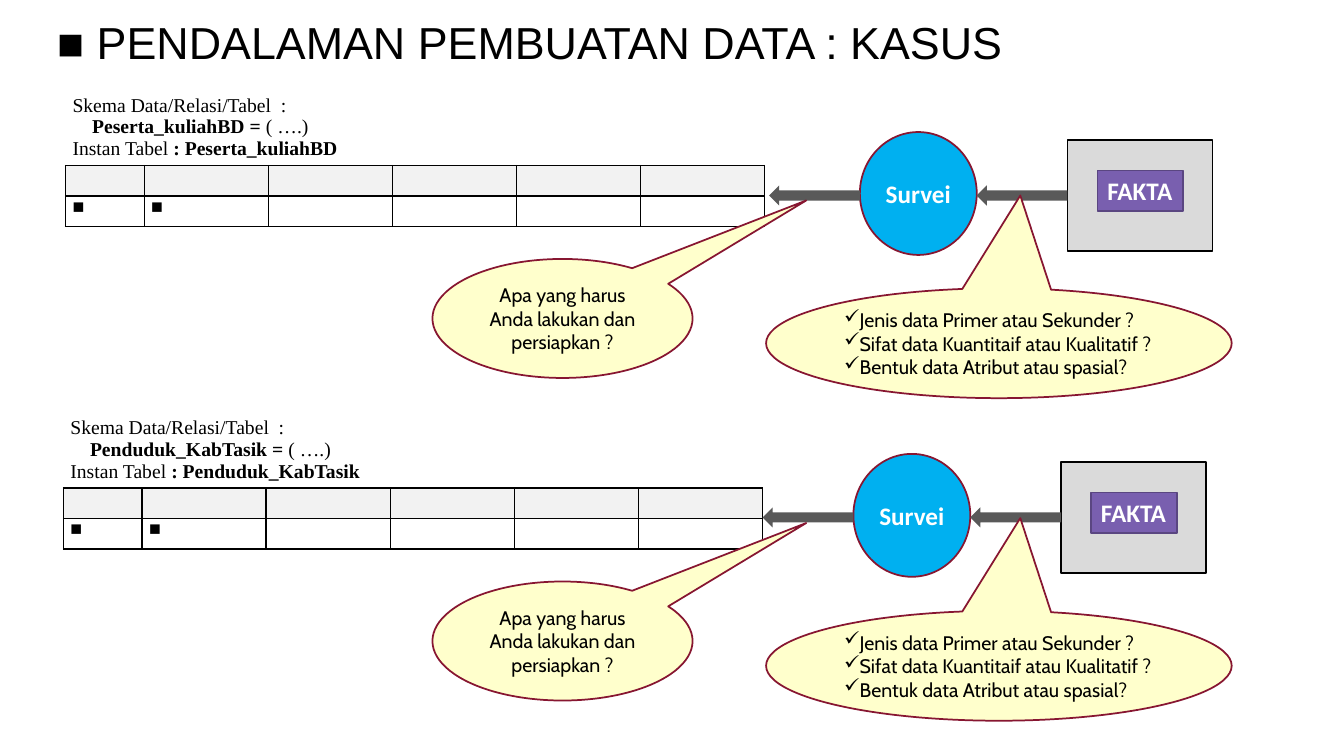
from lxml import etree
from pptx import Presentation
from pptx.dml.color import RGBColor
from pptx.enum.shapes import MSO_SHAPE
from pptx.enum.text import MSO_ANCHOR, PP_ALIGN
from pptx.oxml.ns import qn
from pptx.util import Pt

RECT, OVAL = MSO_SHAPE.RECTANGLE, MSO_SHAPE.OVAL
ARROW, CALLOUT = MSO_SHAPE.LEFT_ARROW, MSO_SHAPE.OVAL_CALLOUT
LEFT, CENTER, JUSTIFY = PP_ALIGN.LEFT, PP_ALIGN.CENTER, PP_ALIGN.JUSTIFY
MIDDLE, BOTTOM = MSO_ANCHOR.MIDDLE, MSO_ANCHOR.BOTTOM

TITLE = "■ PENDALAMAN PEMBUATAN DATA : KASUS"
CASES = [
    {"name": "Peserta_kuliahBD", "table": (46.8, 67.7), "flow": (549.4, 94.3), "ask_top": 185},
    {"name": "Penduduk_KabTasik", "table": (45.3, 298.1), "flow": (544.8, 324.2), "ask_top": 415.4},
]
TASK = ["Apa yang harus Anda lakukan dan persiapkan ?"]
CHECKS = [
    "Jenis data Primer atau Sekunder ?",
    "Sifat data Kuantitaif atau Kualitatif ?",
    "Bentuk data Atribut atau spasial?",
]
COLORS = {
    "black": "000000", "white": "FFFFFF", "header": "F2F2F2", "frame": "DADADA",
    "fact": "795FAF", "fact_line": "5A4681", "survey": "00B0F0",
    "outline": "871631", "arrow": "595959", "bubble": "FFFFCC",
}
COL_WIDTHS = [56.2] + [88.6] * 5
ROW_HEIGHTS = [41, 21.8, 21.8]


def rgb(name):
    return RGBColor.from_string(COLORS[name])


def style(run, size, font, color="black", bold=False):
    f = run.font
    f.size, f.name, f.bold = Pt(size), font, bold
    f.color.rgb = rgb(color)


def add_title(s):
    tf = s.shapes.add_textbox(Pt(33.8), Pt(10.8), Pt(885.6), Pt(38.9)).text_frame
    tf.word_wrap, tf.vertical_anchor, tf.margin_bottom = True, BOTTOM, 0
    p = tf.paragraphs[0]
    p.text, p.line_spacing = TITLE, 0.9
    style(p.runs[0], 32, "Arial")


def add_shape(s, kind, x, y, w, h, fill, line=None):
    sp = s.shapes.add_shape(kind, Pt(x), Pt(y), Pt(w), Pt(h))
    sp.shadow.inherit = False
    sp.fill.solid()
    sp.fill.fore_color.rgb = rgb(fill)
    if line:
        sp.line.color.rgb, sp.line.width = rgb(line), Pt(1.25)
    else:
        sp.line.fill.background()
    return sp


def add_label(sp, text, align, margin):
    tf = sp.text_frame
    tf.word_wrap, tf.vertical_anchor = False, MIDDLE
    tf.margin_left = tf.margin_right = Pt(margin)
    tf.margin_top = tf.margin_bottom = 0
    p = tf.paragraphs[0]
    p.text, p.alignment = text, align
    style(p.runs[0], 18, "Calibri", "white", True)


def add_callout(s, x, y, w, h, tip, lines, bullet=None):
    sp = add_shape(s, CALLOUT, x, y, w, h, "bubble", "outline")
    sp.adjustments[0], sp.adjustments[1] = tip
    tf = sp.text_frame
    tf.word_wrap, tf.vertical_anchor = True, MIDDLE
    tf.text = "\n".join(lines)
    for p in tf.paragraphs:
        p.alignment = LEFT if bullet else CENTER
        style(p.runs[0], 14, "Cabin")
        if bullet:
            pPr = p._p.get_or_add_pPr()
            pPr.set("marL", str(Pt(9)))
            pPr.set("indent", str(Pt(-9)))
            etree.SubElement(pPr, qn("a:buChar")).set("char", bullet)


def add_border(cell, side, visible):
    ln = etree.SubElement(cell._tc.get_or_add_tcPr(), qn("a:ln" + side))
    ln.set("w", str(Pt(1)))
    if visible:
        fill = etree.SubElement(ln, qn("a:solidFill"))
        etree.SubElement(fill, qn("a:srgbClr")).set("val", COLORS["black"])
    else:
        etree.SubElement(ln, qn("a:noFill"))


def add_schema_text(cell, name):
    lines = [
        [("Skema Data/Relasi/Tabel  :", False)],
        [(name + " =", True), (" ( ….)", False)],
        [("Instan Tabel ", False), (": " + name, True)],
    ]
    tf = cell.text_frame
    for i, parts in enumerate(lines):
        p = tf.add_paragraph() if i else tf.paragraphs[0]
        p.alignment = JUSTIFY
        for text, bold in parts:
            r = p.add_run()
            r.text = text
            style(r, 14, "Times New Roman", bold=bold)
    tf.paragraphs[1]._p.get_or_add_pPr().set("marL", str(Pt(14)))


def add_case_table(s, x, y, name):
    rows, cols = len(ROW_HEIGHTS), len(COL_WIDTHS)
    table = s.shapes.add_table(rows, cols, Pt(x), Pt(y), Pt(sum(COL_WIDTHS)),
                               Pt(sum(ROW_HEIGHTS))).table
    table.first_row = table.horz_banding = False
    for col, width in zip(table.columns, COL_WIDTHS):
        col.width = Pt(width)
    for i, (row, height) in enumerate(zip(table.rows, ROW_HEIGHTS)):
        row.height = Pt(height)
        for cell in row.cells:
            cell.margin_left = cell.margin_right = Pt(5)
            cell.margin_top = cell.margin_bottom = 0
            for side in "LRTB":
                add_border(cell, side, i > 0 or side == "B")
            cell.fill.solid()
            cell.fill.fore_color.rgb = rgb("header" if i == 1 else "white")
            cell.text_frame.paragraphs[0]._p.get_or_add_endParaRPr().set("sz", "1400")
    table.cell(0, 0).merge(table.cell(0, cols - 1))
    add_schema_text(table.cell(0, 0), name)
    for c in range(2):
        p = table.cell(2, c).text_frame.paragraphs[0]
        p.text = "■"
        style(p.runs[0], 14, "Times New Roman")


def add_flow(s, x, y):
    add_shape(s, RECT, x + 213.1, y + 5.8, 103.7, 79.2, "frame", "black")
    fact = add_shape(s, RECT, x + 234.5, y + 27.6, 61.2, 28.8, "fact", "fact_line")
    add_label(fact, "FAKTA", LEFT, 7.2)
    survey = add_shape(s, OVAL, x + 64.8, y, 83.5, 87.8, "survey", "outline")
    add_label(survey, "Survei", CENTER, 0)
    for dx in (0, 148.3):
        add_shape(s, ARROW, x + dx, y + 38.2, 64.8, 14.4, "arrow")


def main():
    prs = Presentation()
    prs.slide_width, prs.slide_height = Pt(960), Pt(540)
    s = prs.slides.add_slide(prs.slide_layouts[6])
    add_title(s)
    for case in CASES:
        top = case["ask_top"]
        add_case_table(s, *case["table"], case["name"])
        add_flow(s, *case["flow"])
        add_callout(s, 547.2, top + 20.9, 332.6, 78.5, (0.046, -1.344), CHECKS, "✓")
        add_callout(s, 308.9, top, 185.8, 85, (0.937, -0.992), TASK)
    prs.save("out.pptx")


if __name__ == "__main__":
    main()
